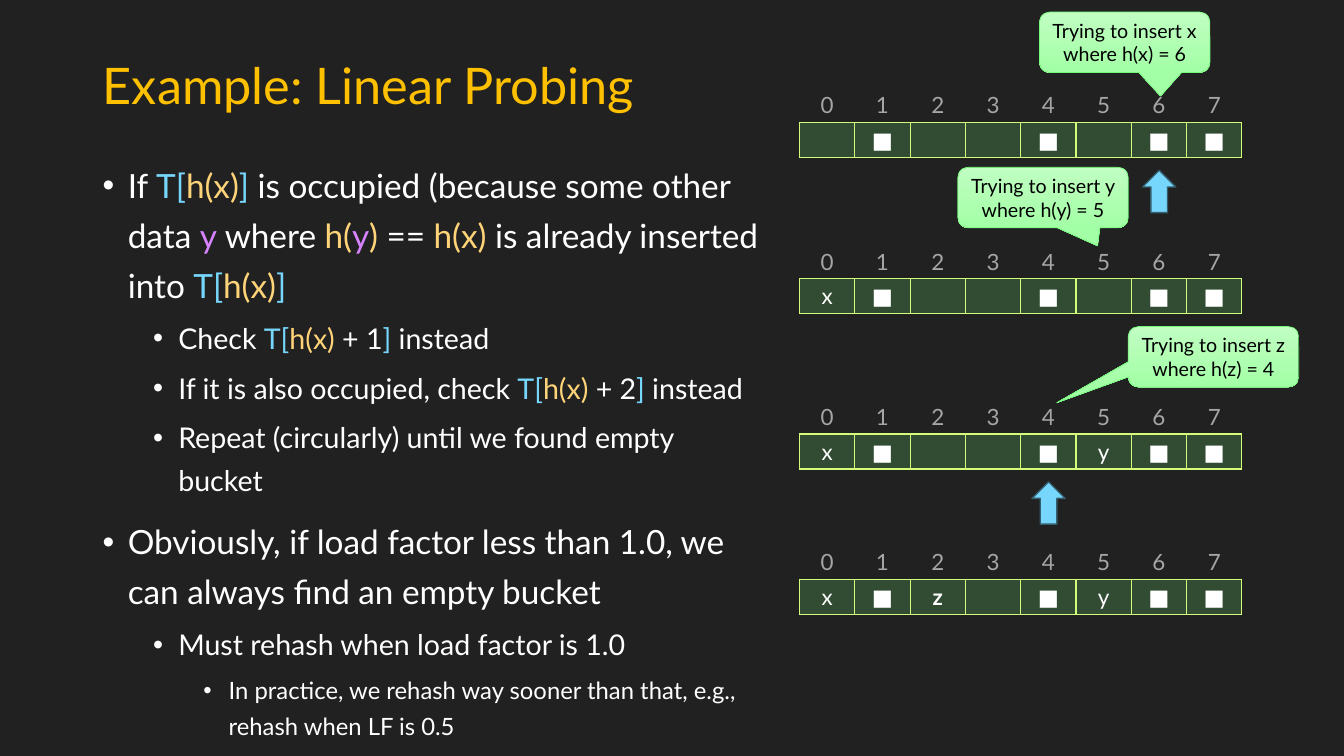
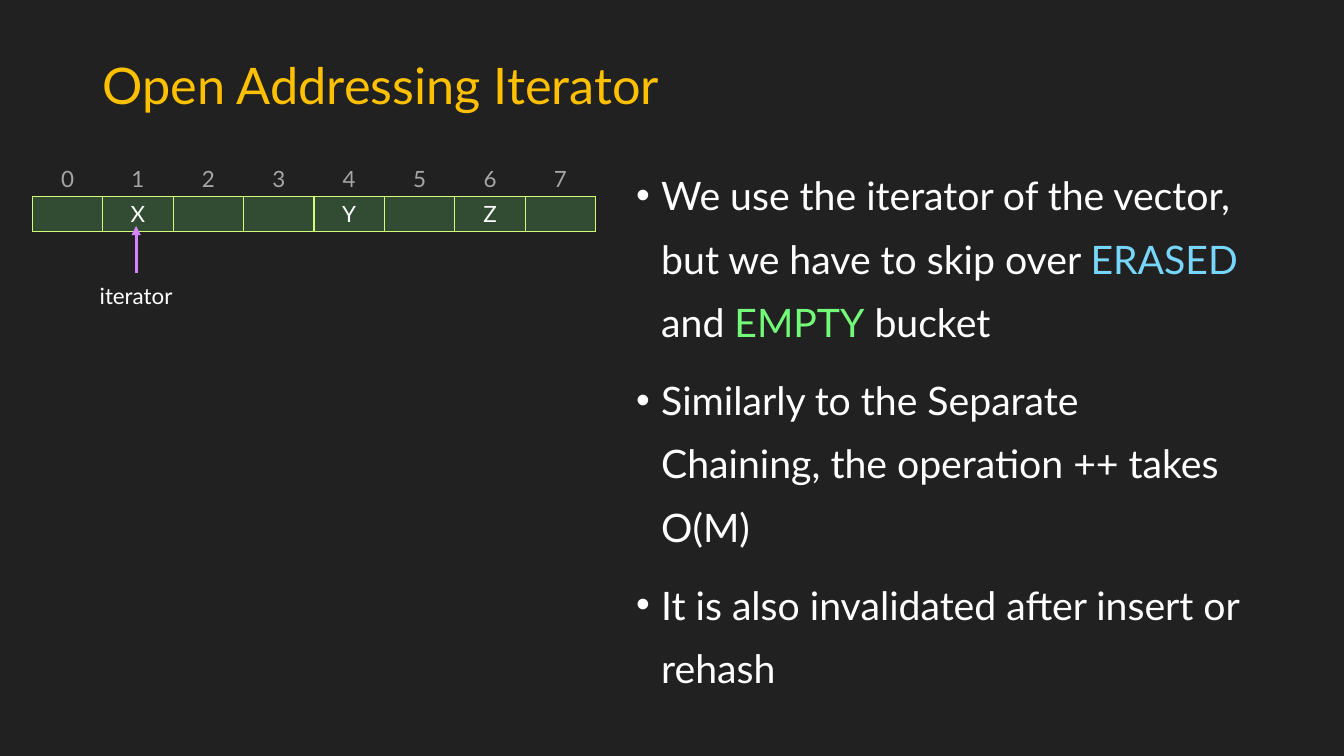
from dataclasses import dataclass
from typing import Optional

from lxml.etree import SubElement
from pptx import Presentation
from pptx.dml.color import RGBColor as RGB
from pptx.enum.shapes import MSO_CONNECTOR as CONNECTOR, MSO_SHAPE as SHAPE
from pptx.enum.text import MSO_ANCHOR as ANCHOR, MSO_AUTO_SIZE as AUTO_SIZE, PP_ALIGN as ALIGN
from pptx.oxml import parse_xml
from pptx.oxml.ns import nsdecls, qn
from pptx.util import Inches, Pt


@dataclass(frozen=True)
class Theme:
    font: str = "Lato"
    background: RGB = RGB(0x21, 0x21, 0x21)
    title: RGB = RGB(0xFF, 0xC0, 0x00)
    text: RGB = RGB(0xFF, 0xFF, 0xFF)
    dark_text: RGB = RGB(0x00, 0x00, 0x00)
    index: RGB = RGB(0xA6, 0xA6, 0xA6)
    sky: RGB = RGB(0x76, 0xD6, 0xFB)
    sky_edge: RGB = RGB(0x34, 0x5E, 0x6E)
    sand: RGB = RGB(0xFF, 0xD4, 0x79)
    violet: RGB = RGB(0xD7, 0x83, 0xFF)
    green: RGB = RGB(0x73, 0xFA, 0x79)
    lime: RGB = RGB(0xD4, 0xFB, 0x79)
    callout_top: RGB = RGB(0xC0, 0xFE, 0xC2)
    callout_bottom: RGB = RGB(0xA3, 0xFF, 0xA6)
    title_size: float = 36
    large_size: float = 28
    level_sizes: tuple = (23.8, 20.4, 17)
    cell_size: float = 16
    callout_size: float = 14


THEME = Theme()
NO_GRID_STYLE = "{2D5ABB26-0587-4C30-8999-92F81FD0307C}"
ROW_HEIGHT = 0.34
CELL_INSET = 0.04
ARROW_WIDTH, ARROW_HEIGHT, ARROW_DROP = 0.33, 0.42, 0.82
CALLOUT_WIDTH, CALLOUT_HEIGHT = 1.69, 0.6


@dataclass(frozen=True)
class Bullet:
    runs: tuple
    level: int = 0


@dataclass(frozen=True)
class BulletStyle:
    sizes: tuple
    line_spacing: float


@dataclass(frozen=True)
class Buckets:
    left: float
    top: float
    width: float
    labels: str
    bold: str = ""
    arrow_at: Optional[int] = None


@dataclass(frozen=True)
class Callout:
    left: float
    top: float
    key: str
    bucket: int
    tip: tuple


def set_font(paragraph, size: float, colour: RGB, bold: bool = False) -> None:
    font = paragraph.font
    font.name, font.size, font.bold = THEME.font, Pt(size), bold
    font.color.rgb = colour


def add_titled_slide(deck, heading: str):
    slide = deck.slides.add_slide(deck.slide_layouts[5])
    title = slide.shapes.title
    title.left, title.top = Inches(0.92), Inches(0.4)
    title.width, title.height = Inches(11.5), Inches(0.95)
    frame = title.text_frame
    frame.text = heading
    frame.auto_size = AUTO_SIZE.NONE
    frame.vertical_anchor = ANCHOR.MIDDLE
    paragraph = frame.paragraphs[0]
    paragraph.alignment, paragraph.line_spacing = ALIGN.LEFT, 0.9
    set_font(paragraph, THEME.title_size, THEME.title)
    return slide


def add_bullets(slide, left: float, width: float, bullets: list, style: BulletStyle) -> None:
    frame = slide.shapes.add_textbox(Inches(left), Inches(1.49), Inches(width), Inches(5.49)).text_frame
    frame.word_wrap = True
    for number, bullet in enumerate(bullets):
        paragraph = frame.add_paragraph() if number else frame.paragraphs[0]
        props = paragraph._p.get_or_add_pPr()
        props.set("marL", str(Inches(0.25 + 0.5 * bullet.level)))
        props.set("indent", str(Inches(-0.25)))
        SubElement(props, qn("a:buFont"), typeface="Arial")
        SubElement(props, qn("a:buChar"), char="•")
        paragraph.level = bullet.level
        paragraph.line_spacing = style.line_spacing
        paragraph.space_before = Pt(5 if bullet.level else 10)
        set_font(paragraph, style.sizes[bullet.level], THEME.text)
        for part in bullet.runs:
            text, colour = part if isinstance(part, tuple) else (part, None)
            run = paragraph.add_run()
            run.text = text
            if colour is not None:
                run.font.color.rgb = colour


def style_bucket(cell) -> None:
    cell.fill.solid()
    cell.fill.fore_color.rgb = THEME.green
    props = cell._tc.get_or_add_tcPr()
    SubElement(props.find(qn("a:solidFill")).find(qn("a:srgbClr")), qn("a:alpha"), val="20000")
    for position, side in enumerate("LRTB"):
        props.insert(position, parse_xml(
            f'<a:ln{side} {nsdecls("a")} w="{Pt(1)}"><a:solidFill>'
            f'<a:srgbClr val="{THEME.lime}"/></a:solidFill></a:ln{side}>'))


def fill_cell(cell, label: str, colour: RGB, bold: bool = False) -> None:
    cell.margin_left = cell.margin_right = Inches(CELL_INSET)
    cell.margin_top = cell.margin_bottom = Inches(CELL_INSET if label else 0)
    cell.text = label
    paragraph = cell.text_frame.paragraphs[0]
    paragraph.alignment = ALIGN.CENTER
    set_font(paragraph, THEME.cell_size, colour, bold)


def add_buckets(slide, buckets: Buckets) -> None:
    count = len(buckets.labels)
    frame = slide.shapes.add_table(2, count, Inches(buckets.left), Inches(buckets.top),
                                   Inches(buckets.width), Inches(2 * ROW_HEIGHT))
    table = frame.table
    table.first_row = table.horz_banding = False
    table._tbl.tblPr.find(qn("a:tableStyleId")).text = NO_GRID_STYLE
    for index, label in enumerate(buckets.labels):
        heading, bucket = table.cell(0, index), table.cell(1, index)
        fill_cell(heading, str(index), THEME.index)
        heading.vertical_anchor = ANCHOR.BOTTOM
        heading.fill.background()
        fill_cell(bucket, label.strip(), THEME.text, label in buckets.bold)
        style_bucket(bucket)
    if buckets.arrow_at is not None:
        centre = buckets.left + buckets.width / count * (buckets.arrow_at + 0.5)
        arrow = slide.shapes.add_shape(
            SHAPE.DOWN_ARROW, Inches(centre - ARROW_WIDTH / 2), Inches(buckets.top + ARROW_DROP),
            Inches(ARROW_WIDTH), Inches(ARROW_HEIGHT))
        arrow.rotation = 180
        arrow.shadow.inherit = False
        arrow.fill.solid()
        arrow.fill.fore_color.rgb = THEME.sky
        arrow.line.color.rgb = THEME.sky_edge
        arrow.line.width = Pt(1)


def add_callout(slide, callout: Callout) -> None:
    bubble = slide.shapes.add_shape(SHAPE.ROUNDED_RECTANGULAR_CALLOUT, Inches(callout.left),
                                    Inches(callout.top), Inches(CALLOUT_WIDTH), Inches(CALLOUT_HEIGHT))
    bubble.adjustments[0], bubble.adjustments[1] = callout.tip
    bubble.shadow.inherit = False
    bubble.fill.gradient()
    bubble.fill.gradient_angle = 270
    for stop, colour in zip(bubble.fill.gradient_stops, (THEME.callout_top, THEME.callout_bottom)):
        stop.color.rgb = colour
    bubble.line.color.rgb = THEME.green
    bubble.line.width = Pt(0.5)
    frame = bubble.text_frame
    frame.word_wrap = True
    frame.vertical_anchor = ANCHOR.MIDDLE
    frame.text = f"Trying to insert {callout.key} where h({callout.key}) = {callout.bucket}"
    paragraph = frame.paragraphs[0]
    paragraph.alignment = ALIGN.CENTER
    set_font(paragraph, THEME.callout_size, THEME.dark_text)


def add_iterator(slide) -> None:
    pointer = slide.shapes.add_connector(CONNECTOR.STRAIGHT, Inches(1.35), Inches(2.71),
                                         Inches(1.35), Inches(2.24))
    pointer.line.color.rgb = THEME.violet
    pointer.line.width = Pt(2.25)
    SubElement(pointer.line._get_or_add_ln(), qn("a:tailEnd"), type="triangle")
    SubElement(pointer._element.spPr, qn("a:effectLst"))
    frame = slide.shapes.add_textbox(Inches(0.85), Inches(2.75), Inches(1), Inches(0.37)).text_frame
    frame.word_wrap = True
    frame.text = "iterator"
    frame.paragraphs[0].alignment = ALIGN.CENTER
    set_font(frame.paragraphs[0], THEME.cell_size, THEME.text)


def build_probing(deck) -> None:
    slide = add_titled_slide(deck, "Example: Linear Probing")
    opening, closing = ("T[", THEME.sky), ("]", THEME.sky)
    hash_x, key_y = ("h(x)", THEME.sand), ("y", THEME.violet)
    slot = (opening, hash_x, closing)
    hash_y = (("h(", THEME.sand), key_y, (")", THEME.sand))
    add_bullets(slide, 0.92, 6.7, [
        Bullet(("If ", *slot, " is occupied (because some other data ", key_y, " where ", *hash_y,
                " == ", hash_x, " is already inserted into ", *slot)),
        Bullet(("Check ", opening, hash_x, " + 1", closing, " instead"), 1),
        Bullet(("If it is also occupied, check ", opening, hash_x, " + 2", closing, " instead"), 1),
        Bullet(("Repeat (circularly) until we found empty bucket",), 1),
        Bullet(("Obviously, if load factor less than 1.0, we can always find an empty bucket",)),
        Bullet(("Must rehash when load factor is 1.0",), 1),
        Bullet(("In practice, we rehash way sooner than that, e.g., rehash when LF is 0.5",), 2),
    ], BulletStyle(THEME.level_sizes, 1.25))
    for top, labels, arrow_at in (
        (0.87, " ■  ■ ■■", 6),
        (2.42, "x■  ■ ■■", None),
        (3.96, "x■  ■y■■", 4),
        (5.4, "x■z ■y■■", None),
    ):
        add_buckets(slide, Buckets(7.93, top, 4.39, labels, "■z", arrow_at))
    for callout in (
        Callout(10.31, 0.12, "x", 6, (0.21, 0.89)),
        Callout(9.5, 1.66, "y", 5, (0.32, 0.8)),
        Callout(11.19, 3.24, "z", 4, (-0.92, 0.76)),
    ):
        add_callout(slide, callout)


def build_iterator(deck) -> None:
    slide = add_titled_slide(deck, "Open Addressing Iterator")
    add_bullets(slide, 6.21, 6.21, [
        Bullet(("We use the iterator of the vector, but we have to skip over ",
                ("ERASED", THEME.sky), " and ", ("EMPTY", THEME.green), " bucket")),
        Bullet(("Similarly to the Separate Chaining, the operation ++ takes O(M)",)),
        Bullet(("It is also invalidated after insert or rehash",)),
    ], BulletStyle((THEME.large_size,), 1.35))
    add_buckets(slide, Buckets(0.32, 1.6, 5.59, " X  Y Z "))
    add_iterator(slide)


def main() -> None:
    deck = Presentation()
    deck.slide_width, deck.slide_height = Inches(13.33), Inches(7.5)
    backdrop = deck.slide_master.background.fill
    backdrop.solid()
    backdrop.fore_color.rgb = THEME.background
    build_probing(deck)
    build_iterator(deck)
    deck.save("out.pptx")


if __name__ == "__main__":
    main()
